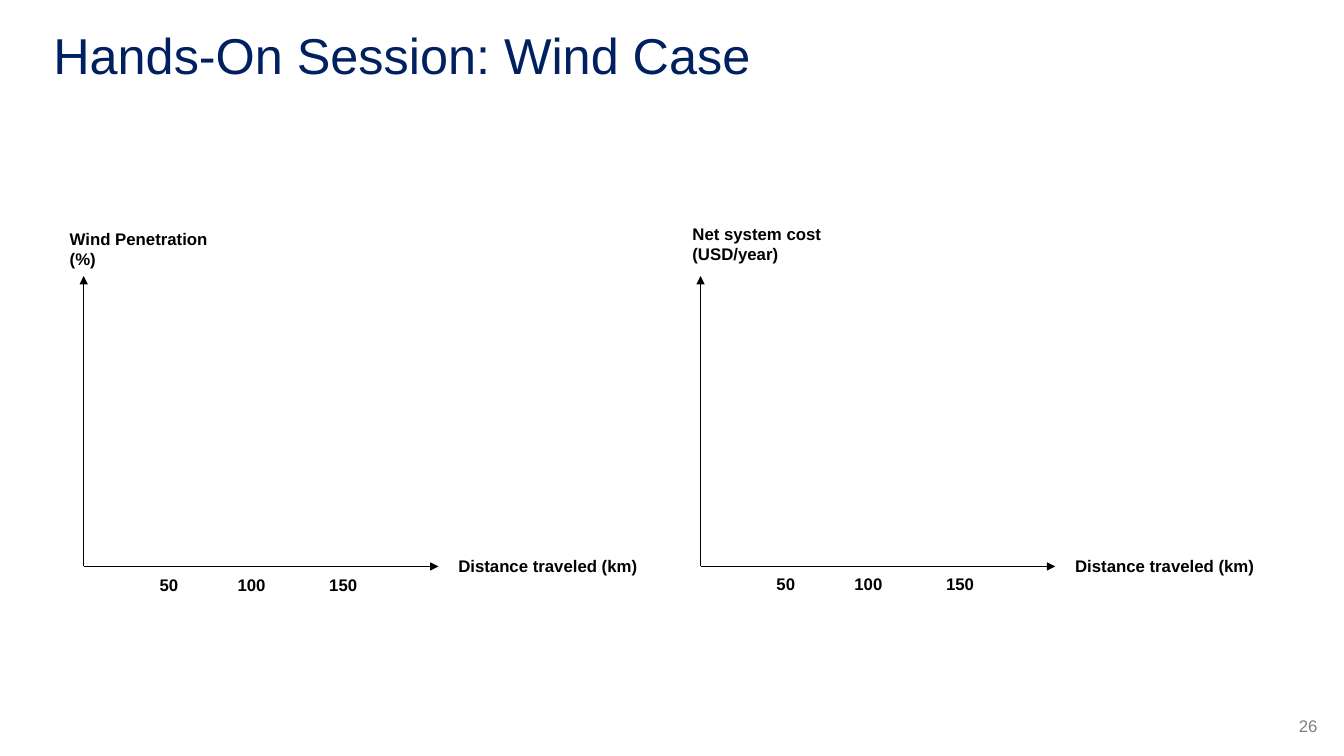
from lxml import etree
from pptx import Presentation
from pptx.dml.color import RGBColor
from pptx.enum.shapes import MSO_CONNECTOR
from pptx.enum.text import MSO_ANCHOR, PP_ALIGN
from pptx.oxml.ns import qn
from pptx.util import Pt

BLACK, NAVY, GRAY = "000000", "002060", "808080"
AXIS_WIDTH, AXIS_HEIGHT = 253.4, 207.4
AXIS_BASELINE = 404.6
TICK_WIDTH, TICK_HEIGHT = 59.8, 25.9
TICK_OFFSETS = {"50": 31, "100": 90, "150": 155.5}


def color(hex_string):
    return RGBColor.from_string(hex_string)


def add_text(slide, text, left, top, width, height, *, size=12, fill=BLACK, bold=False,
             align=PP_ALIGN.LEFT, insets=(0, 0), line_spacing=None):
    """Add a middle-anchored text box; each line of text is a paragraph."""
    box = slide.shapes.add_textbox(Pt(left), Pt(top), Pt(width), Pt(height))
    frame = box.text_frame
    frame.word_wrap = True
    frame.vertical_anchor = MSO_ANCHOR.MIDDLE
    frame.margin_left = frame.margin_right = Pt(insets[0])
    frame.margin_top = frame.margin_bottom = Pt(insets[1])
    frame.text = text
    for paragraph in frame.paragraphs:
        paragraph.alignment = align
        paragraph.line_spacing = line_spacing
        font = paragraph.font
        font.name, font.size, font.bold = "Arial", Pt(size), bold
        font.color.rgb = color(fill)


def add_arrow(slide, start_x, start_y, end_x, end_y):
    arrow = slide.shapes.add_connector(
        MSO_CONNECTOR.STRAIGHT, Pt(start_x), Pt(start_y), Pt(end_x), Pt(end_y))
    arrow.line.width = Pt(0.5)
    arrow.line.color.rgb = color(BLACK)
    line = arrow.line._get_or_add_ln()
    etree.SubElement(line, qn("a:tailEnd"), type="triangle")
    etree.SubElement(arrow._element.spPr, qn("a:effectLst"))


def add_empty_plot(slide, left, baseline, label, label_left, label_top, tick_top):
    """Draw a pair of axes from their origin, with the value label placed relative to it."""
    add_arrow(slide, left, baseline, left, baseline - AXIS_HEIGHT)
    add_arrow(slide, left, baseline, left + AXIS_WIDTH, baseline)
    add_text(slide, label, left + label_left, baseline + label_top, 128.9, 24.5, bold=True)
    add_text(slide, "Distance traveled (km)", left + AXIS_WIDTH + 2.2, baseline - 15.8,
             151.9, 30.2, bold=True, align=PP_ALIGN.CENTER)
    for tick, offset in TICK_OFFSETS.items():
        add_text(slide, tick, left + offset, baseline + tick_top, TICK_WIDTH, TICK_HEIGHT,
                 bold=True, align=PP_ALIGN.CENTER)


def add_heading(slide, title, number):
    add_text(slide, title, 31, 13.7, 828, 56.2, size=36, fill=NAVY,
             insets=(7.2, 3.6), line_spacing=0.9)
    add_text(slide, number, 907.9, 504, 40.3, 28.8, fill=GRAY,
             align=PP_ALIGN.RIGHT, insets=(7.2, 3.6))


def main():
    presentation = Presentation()
    presentation.slide_width, presentation.slide_height = Pt(960), Pt(540)
    slide = presentation.slides.add_slide(presentation.slide_layouts[6])
    add_heading(slide, "Hands-On Session: Wind Case", "26")
    add_empty_plot(slide, 59.8, AXIS_BASELINE, "Wind Penetration\n(%)", -10, -239, 0)
    add_empty_plot(slide, 500.4, AXIS_BASELINE, "Net system cost (USD/year)", -5.8, -242.6, -0.7)
    presentation.save("out.pptx")


if __name__ == "__main__":
    main()
